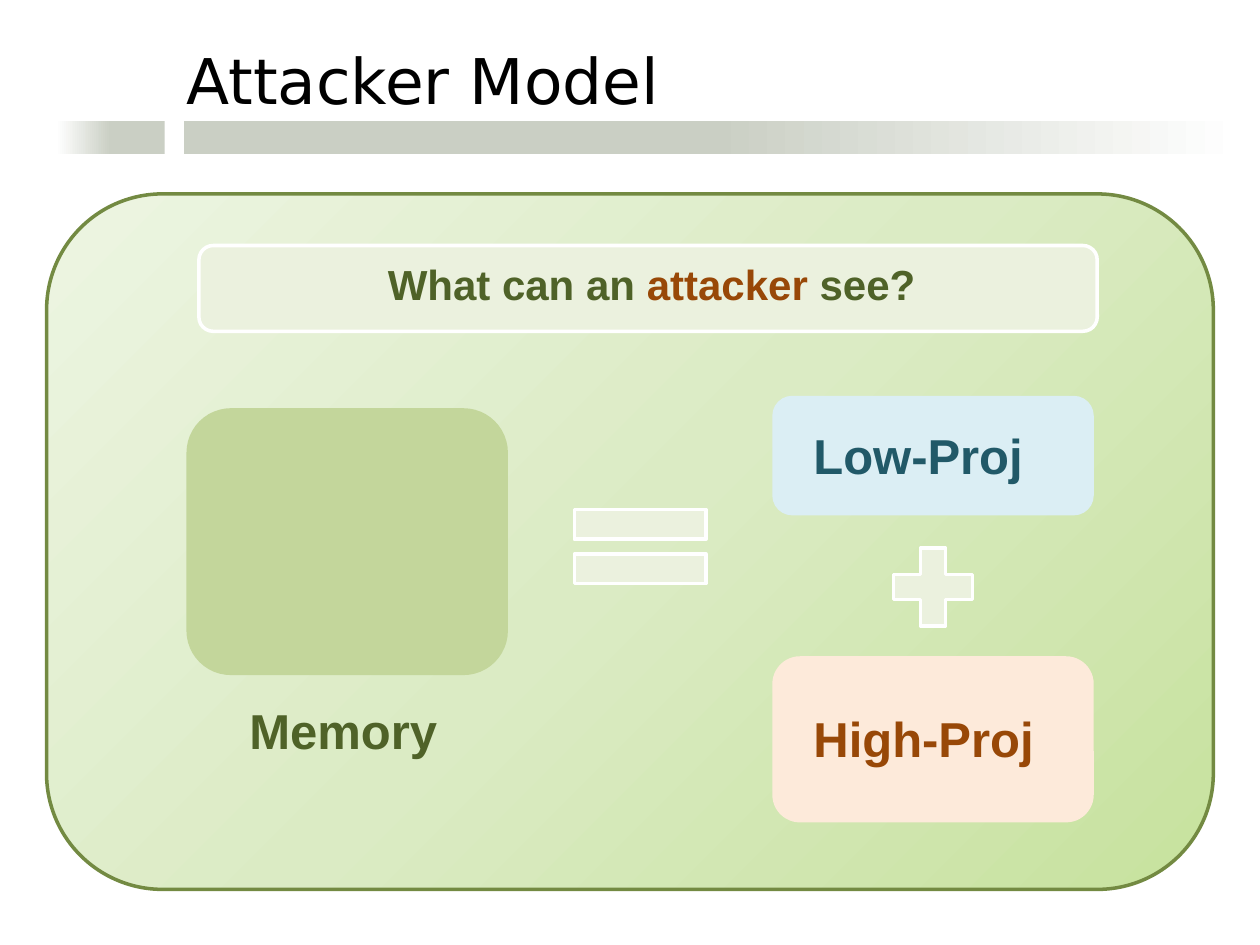
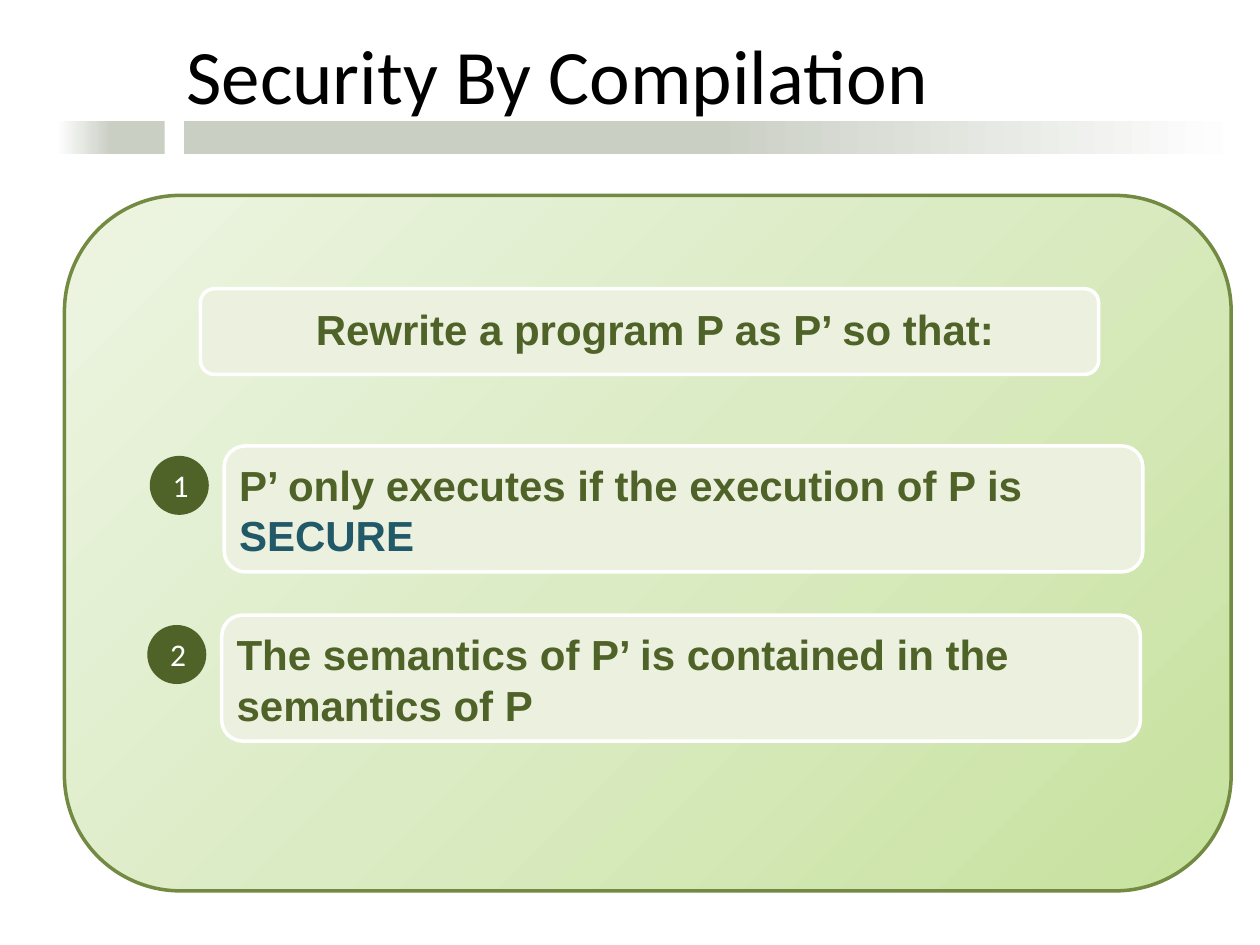
from lxml import etree
from pptx import Presentation, util as u
from pptx.dml import color
from pptx.enum import shapes, text
from pptx.oxml import ns

GREEN, BROWN, TEAL, PALE, WHITE = "4F6228", "984807", "215968", "EBF1DE", "FFFFFF"
BAND = ([(50, "CACFC4"), (100, WHITE)], '<a:lin ang="0" scaled="1"/>')
PANEL = ([(0, "C7E29E"), (50, "DBEBC4"), (100, "EDF5E2")],
         '<a:path path="circle"><a:fillToRect l="100000" t="100000"/></a:path>')
BODY = {"name": "Arial", "size": u.Pt(24), "bold": True}
LABEL = {**BODY, "size": u.Pt(28)}
NUMBER = {"name": "Calibri", "size": u.Pt(18)}
MS = shapes.MSO_SHAPE
ROUND = MS.ROUNDED_RECTANGLE


def add_shape(s, kind, at, fill, line=None):
    sp = s.shapes.add_shape(kind, *map(u.Cm, at))
    sp.shadow.inherit = False
    if isinstance(fill, str):
        sp.fill.solid()
        sp.fill.fore_color.rgb = color.RGBColor.from_string(fill)
    else:
        stops, direction = fill
        gs = "".join(f'<a:gs pos="{pos * 1000}"><a:srgbClr val="{c}"/></a:gs>' for pos, c in stops)
        sp.fill.background()
        old = sp._element.spPr.find(ns.qn("a:noFill"))
        old.getparent().replace(old, etree.fromstring(
            f'<a:gradFill {ns.nsdecls("a")} rotWithShape="1"><a:gsLst>{gs}</a:gsLst>{direction}</a:gradFill>'))
    if line:
        sp.line.color.rgb = color.RGBColor.from_string(line)
        sp.line.width = u.Pt(2)
    else:
        sp.line.fill.background()
    return sp


def add_text(s, at, runs, fmt, align=text.PP_ALIGN.LEFT):
    tf = s.shapes.add_textbox(*map(u.Cm, at)).text_frame
    tf.word_wrap = True
    tf.auto_size = text.MSO_AUTO_SIZE.SHAPE_TO_FIT_TEXT
    p = tf.paragraphs[0]
    p.alignment = align
    for words, c in runs:
        r = p.add_run()
        r.text = words
        for key, value in fmt.items():
            setattr(r.font, key, value)
        r.font.color.rgb = color.RGBColor.from_string(c)


prs = Presentation()
prs.slide_width, prs.slide_height = u.Cm(25.4), u.Cm(19.05)

pages = [
    ("Attacker Model", "DejaVu Sans", 36, (3.51, 0.71, 19.69, 1.8), (0.94, 3.91),
     (4.01, 4.95), (4.32, 5.08),
     [("What can an ", GREEN), ("attacker", BROWN), (" see?", GREEN)]),
    ("Security By Compilation", "Calibri", 44, (3.51, 0.43, 17.63, 2.13), (1.3, 3.94),
     (4.04, 5.82), (4.39, 5.99),
     [("Rewrite a program P as P’ so that:", GREEN)]),
]
for title, font, size, title_at, panel_xy, banner_xy, question_xy, question in pages:
    s = prs.slides.add_slide(prs.slide_layouts[6])
    add_shape(s, MS.RECTANGLE, (3.71, 2.44, 21.31, 0.66), BAND)
    add_shape(s, MS.RECTANGLE, (1.14, 2.44, 2.18, 0.66), BAND).rotation = 180
    add_text(s, title_at, [(title, "000000")], {"name": font, "size": u.Pt(size)})
    add_shape(s, ROUND, (*panel_xy, 23.52, 14.02), PANEL, "738A42")
    add_shape(s, ROUND, (*banner_xy, 18.11, 1.73), PALE, WHITE)
    add_text(s, (*question_xy, 17.63, 1.27), question, BODY, text.PP_ALIGN.CENTER)

attacker, compilation = prs.slides

for kind, at, fill, line in [
    (ROUND, (3.76, 8.23, 6.48, 5.38), "C3D69B", None),
    (MS.MATH_EQUAL, (11.1, 9.75, 3.61, 2.54), PALE, WHITE),
    (ROUND, (15.57, 7.98, 6.48, 2.41), "DBEEF4", None),
    (MS.MATH_PLUS, (17.73, 10.77, 2.16, 2.13), PALE, WHITE),
    (ROUND, (15.57, 13.23, 6.48, 3.35), "FDEADA", None),
]:
    add_shape(attacker, kind, at, fill, line)

for words, c, x, y, w in [
    ("Memory", GREEN, 4.78, 14, 4.47),
    ("Low-Proj", TEAL, 16.15, 8.46, 5.33),
    ("High-Proj", BROWN, 16.15, 14.15, 5.33),
]:
    add_text(attacker, (x, y, w, 1.45), [(words, c)], LABEL)

goals = [
    (17.65, [("P’ only executes if the execution of P is ", GREEN), ("SECURE", TEAL)]),
    (18.47, [("The semantics of P’ is contained in the semantics of P", GREEN)]),
]
for i, (w, runs) in enumerate(goals):
    dx, dy = -0.05 * i, 3.41 * i
    add_shape(compilation, ROUND, (4.52 + dx, 8.99 + dy, 18.52, 2.54), PALE, WHITE)
    add_shape(compilation, MS.OVAL, (3.02 + dx, 9.19 + dy, 1.19, 1.19), GREEN)
    add_text(compilation, (3.23 + dx, 9.27 + dy, 0.74, 1.02), [(str(i + 1), WHITE)], NUMBER)
    add_text(compilation, (4.57 + dx, 9.14 + dy, w, 2.31), runs, BODY)

prs.save("out.pptx")
